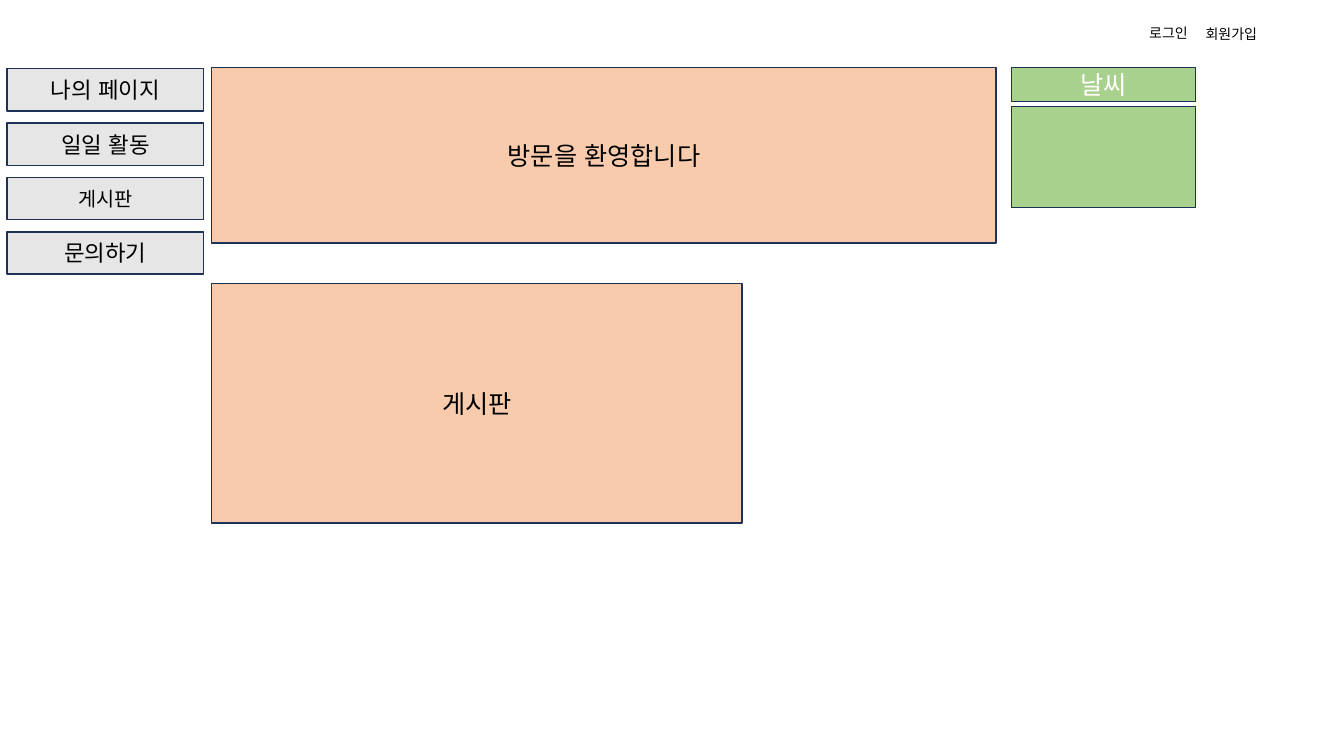
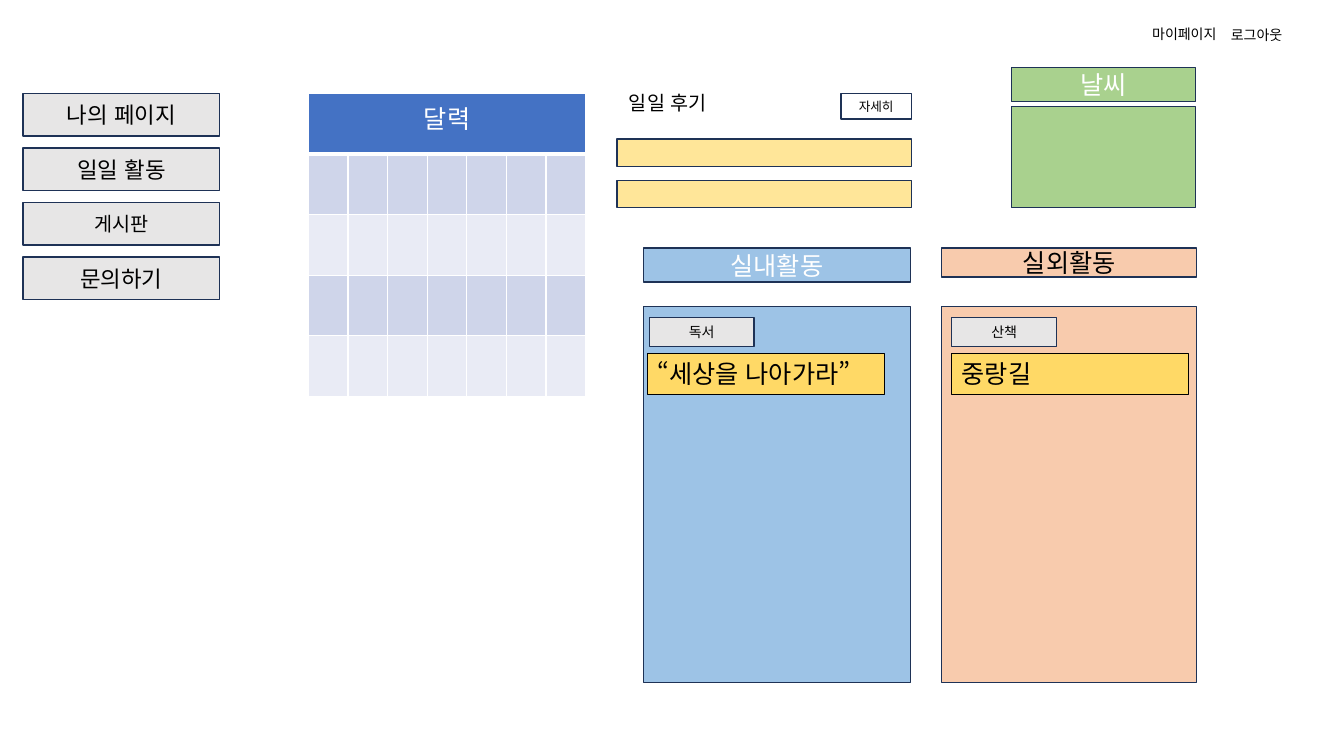
from pptx import Presentation
from pptx.dml.color import RGBColor
from pptx.enum.lang import MSO_LANGUAGE_ID
from pptx.enum.shapes import MSO_SHAPE
from pptx.enum.text import MSO_ANCHOR, PP_ALIGN
from pptx.oxml import parse_xml
from pptx.oxml.ns import nsdecls
from pptx.util import Inches, Pt

FONT = "Noto Sans CJK KR"
BLACK = RGBColor(0x00, 0x00, 0x00)
WHITE = RGBColor(0xFF, 0xFF, 0xFF)
NAVY = RGBColor(0x1E, 0x32, 0x56)
GREY = RGBColor(0xE7, 0xE6, 0xE6)
GREEN = RGBColor(0xA9, 0xD1, 0x8E)
PEACH = RGBColor(0xF8, 0xCB, 0xAD)
SKY = RGBColor(0x9D, 0xC3, 0xE6)
CREAM = RGBColor(0xFF, 0xE6, 0x99)
GOLD = RGBColor(0xFF, 0xD9, 0x66)
HEADER_BLUE = RGBColor(0x44, 0x72, 0xC4)
BAND_DARK = RGBColor(0xCF, 0xD5, 0xEA)
BAND_LIGHT = RGBColor(0xE9, 0xEB, 0xF5)

MENU = [("나의 페이지", 16), ("일일 활동", 16), ("게시판", 14), ("문의하기", 16)]


def write(tf, text, size, color=BLACK, align=PP_ALIGN.LEFT):
    tf.text = text
    p = tf.paragraphs[0]
    p.alignment = align
    for r in p.runs:
        r.font.name = FONT
        r.font.size = Pt(size)
        r.font.color.rgb = color
        r.font.language_id = MSO_LANGUAGE_ID.KOREAN
        r.font._element.append(
            parse_xml(f'<a:ea {nsdecls("a")} typeface="{FONT}"/>'))


def box(s, at, fill=None, text="", size=18, color=BLACK,
        align=PP_ALIGN.CENTER, line=NAVY, weight=1):
    """Rectangle; no line colour gives a plain text box look."""
    sp = s.shapes.add_shape(MSO_SHAPE.RECTANGLE, *[Inches(v) for v in at])
    sp.shadow.inherit = False
    if fill is None:
        sp.fill.background()
    else:
        sp.fill.solid()
        sp.fill.fore_color.rgb = fill
    sp.line.color.rgb = line
    sp.line.width = Pt(weight)
    tf = sp.text_frame
    tf.word_wrap = True
    tf.vertical_anchor = MSO_ANCHOR.MIDDLE
    if text:
        write(tf, text, size, color, align)


prs = Presentation()
prs.slide_width = Inches(13.33)
prs.slide_height = Inches(7.5)

# Parts on both pages: account links, weather, side menu
pages = [
    ([("로그인", 11.3, 0.19, 0.83, 10), ("회원가입", 11.86, 0.2, 0.96, 10)],
     0.07, 0.68),
    ([("마이페이지", 11.33, 0.2, 0.96, 10), ("로그아웃", 12.11, 0.21, 0.83, 10),
      ("일일 후기", 6.14, 0.85, 1.06, 14)],
     0.23, 0.93),
]
for labels, menu_left, menu_top in pages:
    s = prs.slides.add_slide(prs.slide_layouts[6])
    for text, left, top, width, size in labels:
        tb = s.shapes.add_textbox(Inches(left), Inches(top),
                                  Inches(width), Inches(0.27))
        tb.text_frame.word_wrap = True
        write(tb.text_frame, text, size)
    box(s, (10.03, 0.67, 1.83, 0.34), GREEN, "날씨", color=WHITE)
    box(s, (10.03, 1.06, 1.83, 1), GREEN)
    for i, (text, size) in enumerate(MENU):
        box(s, (menu_left, menu_top + i * 0.54, 1.95, 0.42), GREY, text, size)

home, my_page = prs.slides

# Home: welcome banner and board
box(home, (2.1, 0.67, 7.78, 1.74), PEACH, "방문을 환영합니다")
box(home, (2.1, 2.81, 5.26, 2.38), PEACH, "게시판")

# My page: calendar
table = my_page.shapes.add_table(5, 7, Inches(3.06), Inches(0.93),
                                 Inches(2.75), Inches(3)).table
for i, row in enumerate(table.rows):
    for cell in row.cells:
        tcPr = cell._tc.get_or_add_tcPr()
        for side in "LRTB":
            width = Pt(3 if i == 0 and side == "B" else 1)
            tcPr.append(parse_xml(
                f'<a:ln{side} {nsdecls("a")} w="{width}"><a:solidFill>'
                f'<a:srgbClr val="{WHITE}"/></a:solidFill></a:ln{side}>'))
        cell.fill.solid()
        cell.fill.fore_color.rgb = (
            HEADER_BLUE if i == 0 else BAND_DARK if i % 2 else BAND_LIGHT)
header = table.cell(0, 0)
header.merge(table.cell(0, 6))
write(header.text_frame, "달력", 18, WHITE, PP_ALIGN.CENTER)

# My page: daily reviews
box(my_page, (8.34, 0.93, 0.7, 0.25), None, "자세히", 9)
for top in (1.38, 1.79):
    box(my_page, (6.12, top, 2.92, 0.27), CREAM)

# My page: indoor and outdoor activities
activities = [
    (6.38, 2.65, 0.34, SKY, "실내활동", WHITE, 6.44, "독서", 6.42, "“세상을 나아가라”"),
    (9.34, 2.53, 0.29, PEACH, "실외활동", BLACK, 9.44, "산책", 9.44, "중랑길"),
]
for (left, width, head_height, fill, title, color,
     tag_left, tag, item_left, item) in activities:
    box(my_page, (left, 2.46, width, head_height), fill, title, color=color)
    box(my_page, (left, 3.04, width, 3.73), fill)
    box(my_page, (tag_left, 3.15, 1.04, 0.29), GREY, tag, 10)
    box(my_page, (item_left, 3.51, 2.35, 0.4), GOLD, item,
        align=PP_ALIGN.LEFT, line=BLACK, weight=0.75)

prs.save("out.pptx")
